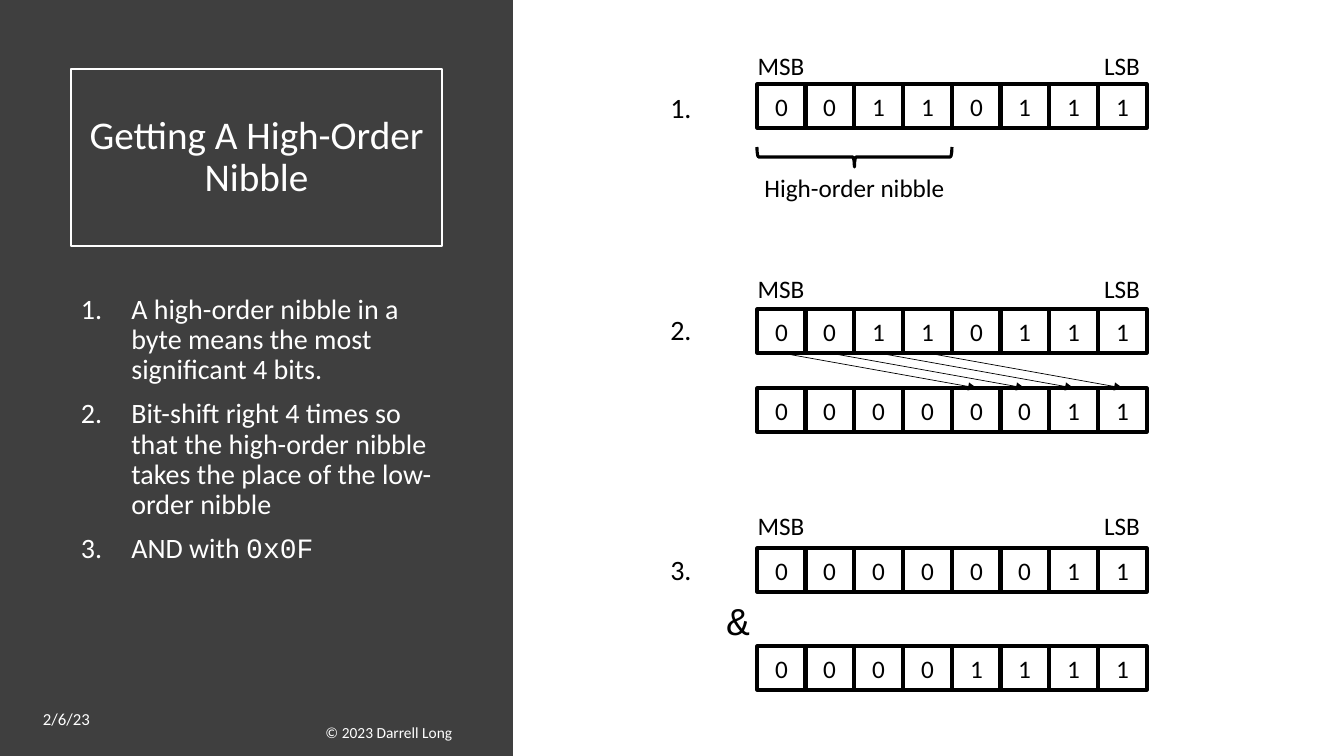
import dataclasses

import lxml.etree
import pptx
import pptx.dml.color
import pptx.enum.shapes
import pptx.enum.text
import pptx.oxml.ns
import pptx.util

PX = 12192000 / 1344
SHAPES = pptx.enum.shapes.MSO_SHAPE
ALIGN = pptx.enum.text.PP_ALIGN
ANCHOR = pptx.enum.text.MSO_ANCHOR


@dataclasses.dataclass(frozen=True)
class Theme:
    panel: str = "3F3F3F"
    light: str = "FFFFFF"
    ink: str = "000000"
    sans: str = "Calibri"
    mono: str = "Courier New"
    heading: int = 28
    body: int = 20
    label: int = 18
    date: int = 12
    credit: int = 11
    thick: float = 2.25
    medium: float = 1.5
    thin: float = 0.5


def emu(length):
    return pptx.util.Emu(round(length * PX))


def rgb(color):
    return pptx.dml.color.RGBColor.from_string(color)


def write(frame, text, *, size, color, font, align=ALIGN.CENTER, spacing=None,
          gap=0, numbered=False, mono_tail="", mono=None):
    first = not frame.paragraphs[0].runs
    para = frame.paragraphs[0] if first else frame.add_paragraph()
    para.alignment = align
    if spacing:
        para.line_spacing = spacing
    if gap and not first:
        para.space_before = pptx.util.Pt(gap)
    if numbered:
        properties = para._p.get_or_add_pPr()
        indent = pptx.util.Inches(0.5)
        properties.set("marL", str(indent))
        properties.set("indent", str(-indent))
        lxml.etree.SubElement(properties, pptx.oxml.ns.qn("a:buAutoNum"), type="arabicPeriod")
    for piece, face in ((text, font), (mono_tail, mono)):
        if piece:
            span = para.add_run()
            span.text = piece
            span.font.size = pptx.util.Pt(size)
            span.font.name = face
            span.font.color.rgb = rgb(color)


class Slide:
    def __init__(self, page, theme):
        self.page = page
        self.theme = theme

    def shape(self, kind, left, top, width, height, fill=None, line=None, weight=1):
        shape = self.page.shapes.add_shape(kind, emu(left), emu(top), emu(width), emu(height))
        shape.shadow.inherit = False
        if fill:
            shape.fill.solid()
            shape.fill.fore_color.rgb = rgb(fill)
        else:
            shape.fill.background()
        if line:
            shape.line.color.rgb = rgb(line)
            shape.line.width = pptx.util.Pt(weight)
        else:
            shape.line.fill.background()
        return shape

    def frame(self, left, top, width, height, anchor=ANCHOR.TOP, wrap=True):
        box = self.page.shapes.add_textbox(emu(left), emu(top), emu(width), emu(height))
        box.text_frame.word_wrap = wrap
        box.text_frame.vertical_anchor = anchor
        return box.text_frame

    def label(self, text, left, top, width, height, size=None, color=None,
              font=None, align=ALIGN.CENTER, anchor=ANCHOR.TOP, wrap=True):
        write(self.frame(left, top, width, height, anchor, wrap), text,
              size=size or self.theme.label, color=color or self.theme.ink,
              font=font or self.theme.sans, align=align)

    def title(self, text, left, top, width, height):
        theme = self.theme
        box = self.shape(SHAPES.RECTANGLE, left, top, width, height,
                         line=theme.light, weight=theme.medium)
        box.text_frame.word_wrap = True
        box.text_frame.vertical_anchor = ANCHOR.MIDDLE
        write(box.text_frame, text, size=theme.heading, color=theme.light,
              font=theme.sans, spacing=0.9)

    def steps(self, items, left, top, width, height):
        theme = self.theme
        frame = self.frame(left, top, width, height)
        for text, code in items:
            write(frame, text, size=theme.body, color=theme.light, font=theme.sans,
                  align=ALIGN.LEFT, spacing=0.9, gap=10, numbered=True,
                  mono_tail=code, mono=theme.mono)

    def byte(self, bits, left, top, width=390, height=44):
        theme = self.theme
        cells = []
        for index, bit in enumerate(bits):
            cell = self.shape(SHAPES.RECTANGLE, left + width * index // len(bits), top,
                              49, height, line=theme.ink, weight=theme.thick)
            cell.text_frame.word_wrap = False
            cell.text_frame.vertical_anchor = ANCHOR.MIDDLE
            write(cell.text_frame, bit, size=theme.label, color=theme.ink, font=theme.sans)
            cells.append(cell)
        return cells

    def brace(self, left, top, width, height):
        middle_x, middle_y = left + width / 2, top + height / 2
        brace = self.shape(SHAPES.LEFT_BRACE, middle_x - height / 2, middle_y - width / 2,
                           height, width, line=self.theme.ink, weight=self.theme.thick)
        brace.rotation = 270

    def arrow(self, source, target):
        arrow = self.page.shapes.add_connector(
            pptx.enum.shapes.MSO_CONNECTOR.STRAIGHT, 0, 0, 0, 0)
        arrow.begin_connect(source, 2)
        arrow.end_connect(target, 0)
        arrow.line.color.rgb = rgb(self.theme.ink)
        arrow.line.width = pptx.util.Pt(self.theme.thin)
        lxml.etree.SubElement(arrow.line._get_or_add_ln(),
                              pptx.oxml.ns.qn("a:tailEnd"), type="triangle")
        lxml.etree.SubElement(arrow._element.spPr, pptx.oxml.ns.qn("a:effectLst"))


def main():
    deck = pptx.Presentation()
    deck.slide_width, deck.slide_height = emu(1344), emu(756)
    theme = Theme()
    slide = Slide(deck.slides.add_slide(deck.slide_layouts[6]), theme)

    slide.shape(SHAPES.RECTANGLE, 0, 0, 513, 756, fill=theme.panel)
    slide.title("Getting A High-Order Nibble", 71, 69, 371, 177)
    slide.steps([
        ("A high-order nibble in a byte means the most significant 4 bits.", ""),
        ("Bit-shift right 4 times so that the high-order nibble takes the place "
         "of the low-order nibble", ""),
        ("AND with ", "0x0F"),
    ], 71, 290, 371, 377)
    slide.label("© 2023 Darrell Long", 162, 712, 454, 40, size=theme.credit,
                color=theme.light, anchor=ANCHOR.MIDDLE)
    slide.label("2/6/23", 33, 699, 147, 40, size=theme.date, color=theme.light,
                align=ALIGN.LEFT, anchor=ANCHOR.MIDDLE)

    byte_left = 757
    stages = [
        ("1.", 86, 45, [("00110111", 84)]),
        ("2.", 308, 268, [("00110111", 309), ("00000011", 388)]),
        ("3.", 548, 505, [("00000011", 548), ("00001111", 646)]),
    ]
    rows = []
    for number, number_top, ends_top, values in stages:
        slide.label(number, 616, number_top, 130, 44, size=theme.body)
        slide.label("MSB", byte_left - 10, ends_top, 68, 40, wrap=False)
        slide.label("LSB", byte_left + 337, ends_top, 56, 40, wrap=False)
        rows.append([slide.byte(bits, byte_left, top) for bits, top in values])

    slide.brace(byte_left, 147, 195, 20)
    slide.label("High-order nibble", 752, 167, 205, 40)
    shifted_from, shifted_to = rows[1]
    for source, target in zip(shifted_from[:4], shifted_to[4:]):
        slide.arrow(source, target)
    slide.label("&", 686, 591, 105, 57, size=theme.heading, font=theme.mono)

    deck.save("out.pptx")


if __name__ == "__main__":
    main()
